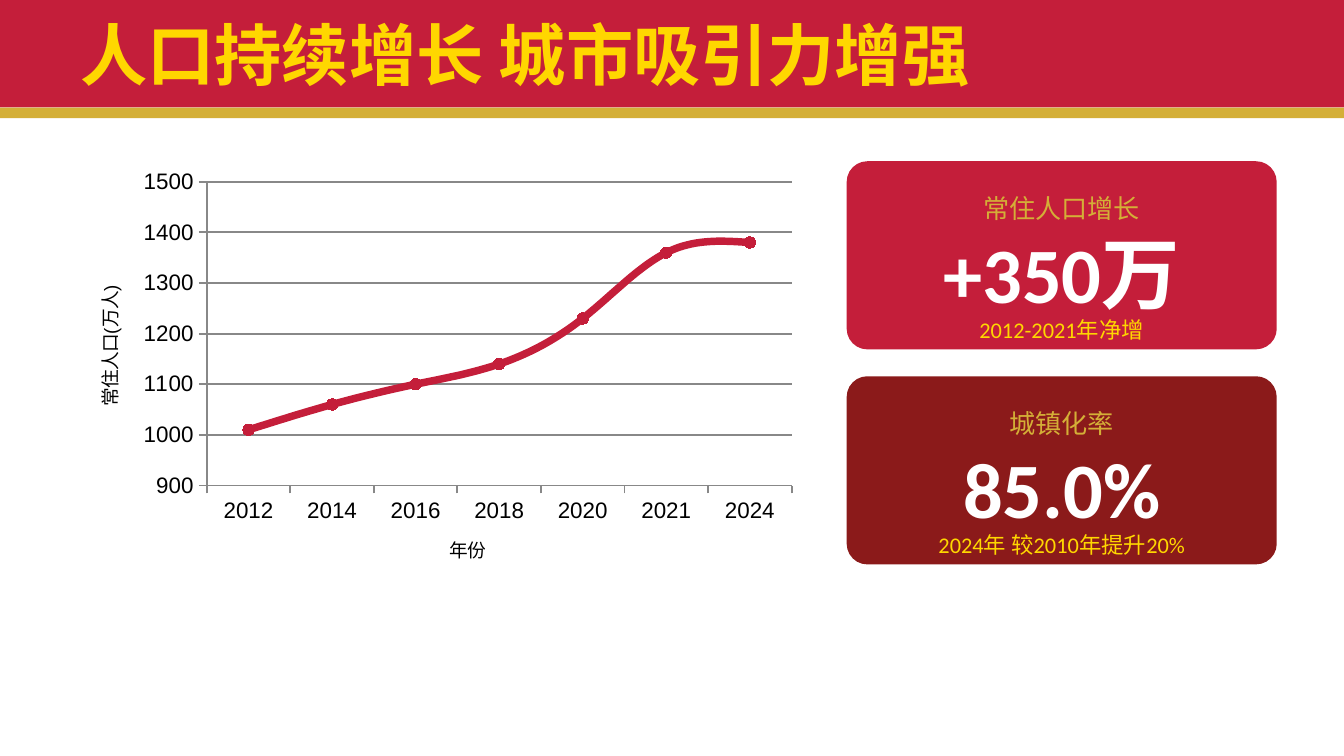
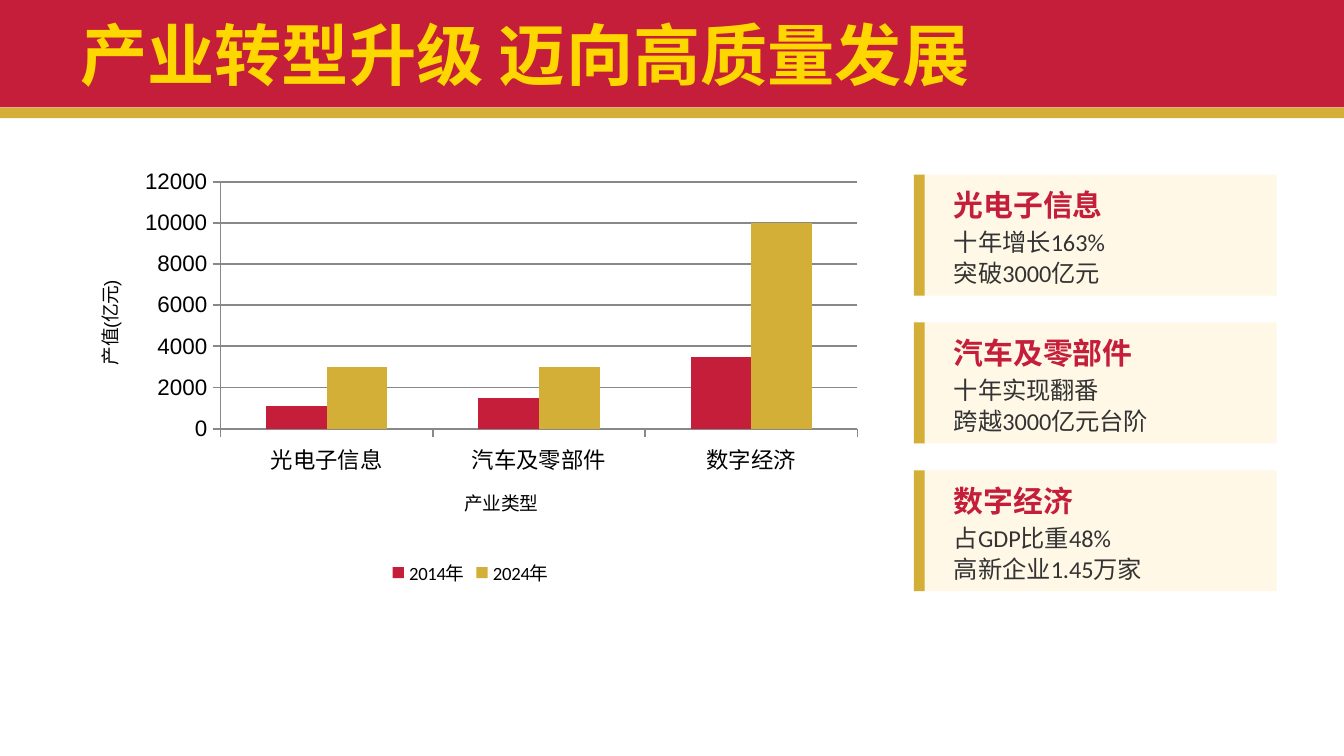
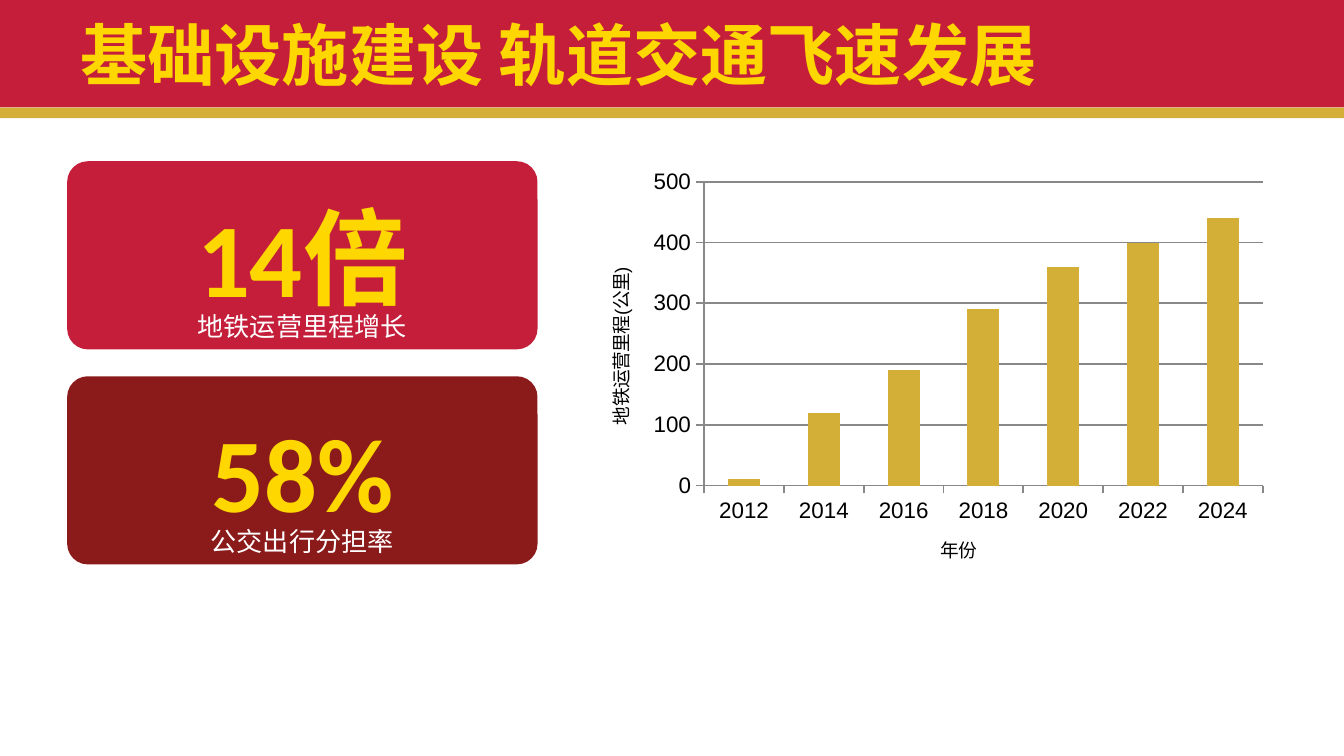
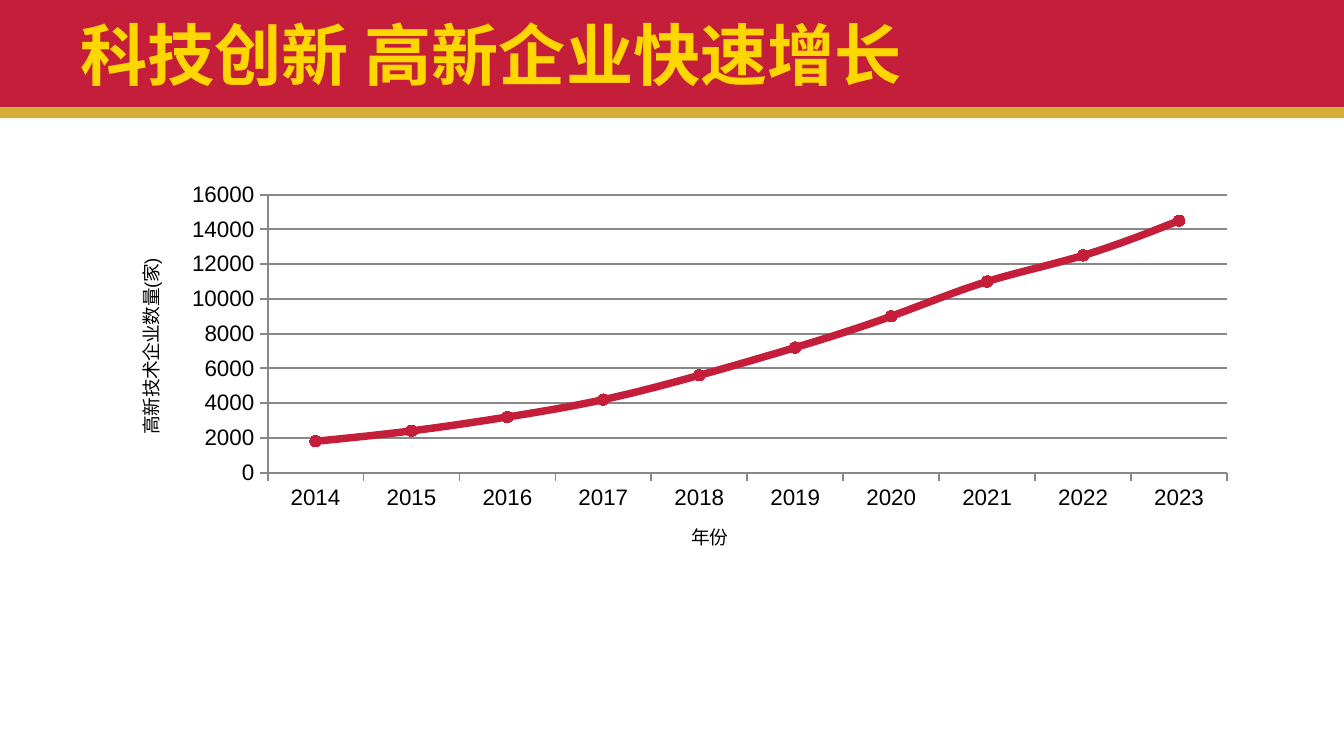
from pptx import Presentation
from pptx.chart.data import CategoryChartData
from pptx.dml.color import RGBColor
from pptx.enum.chart import XL_CHART_TYPE as ChartType
from pptx.enum.chart import XL_LEGEND_POSITION as LegendPosition
from pptx.enum.chart import XL_MARKER_STYLE as MarkerStyle
from pptx.enum.chart import XL_TICK_LABEL_POSITION as TickLabel
from pptx.enum.chart import XL_TICK_MARK as TickMark
from pptx.enum.shapes import MSO_SHAPE as Preset
from pptx.enum.text import MSO_ANCHOR as Anchor
from pptx.enum.text import PP_ALIGN as Align
from pptx.util import Pt

COLORS = {
    name: RGBColor.from_string(code)
    for name, code in {
        "red": "C41E3A",
        "dark_red": "8B1A1A",
        "gold": "D4AF37",
        "yellow": "FFD700",
        "cream": "FFF8E7",
        "white": "FFFFFF",
        "ink": "333333",
        "black": "000000",
        "grey": "888888",
    }.items()
}


def add_panel(page, preset, left, top, width, height, fill):
    panel = page.shapes.add_shape(preset, Pt(left), Pt(top), Pt(width), Pt(height))
    panel.shadow.inherit = False
    panel.fill.solid()
    panel.fill.fore_color.rgb = COLORS[fill]
    panel.line.fill.background()
    return panel


def add_text(page, left, top, width, height, text, size, color, bold=False, align=Align.LEFT):
    box = page.shapes.add_textbox(Pt(left), Pt(top), Pt(width), Pt(height))
    box.text_frame.word_wrap = True
    box.text_frame.vertical_anchor = Anchor.MIDDLE
    para = box.text_frame.paragraphs[0]
    para.alignment = align
    span = para.add_run()
    span.text = text
    span.font.name = "Calibri"
    span.font.size = Pt(size)
    span.font.bold = bold
    span.font.color.rgb = COLORS[color]


deck = Presentation()
deck.slide_width, deck.slide_height = Pt(720), Pt(405)

# Each slide: heading, chart kind and place, axis titles, value scale, categories, series
slides = [
    ("人口持续增长 城市吸引力增强", ChartType.LINE_MARKERS, (36, 86.4, 396, 230.4),
     "年份", "常住人口(万人)", (900, 1500, 100),
     ["2012", "2014", "2016", "2018", "2020", "2021", "2024"],
     [("Series 1", "red", [1010, 1060, 1100, 1140, 1230, 1360, 1380])]),
    ("产业转型升级 迈向高质量发展", ChartType.COLUMN_CLUSTERED, (36, 86.4, 432, 230.4),
     "产业类型", "产值(亿元)", (0, 12000, 2000),
     ["光电子信息", "汽车及零部件", "数字经济"],
     [("2014年", "red", [1100, 1500, 3500]),
      ("2024年", "gold", [3000, 3000, 10000])]),
    ("基础设施建设 轨道交通飞速发展", ChartType.COLUMN_CLUSTERED, (309.6, 86.4, 374.4, 230.4),
     "年份", "地铁运营里程(公里)", (0, 500, 100),
     ["2012", "2014", "2016", "2018", "2020", "2022", "2024"],
     [("Series 1", "gold", [10, 120, 190, 290, 360, 400, 440])]),
    ("科技创新 高新企业快速增长", ChartType.LINE_MARKERS, (57.6, 93.6, 612, 216),
     "年份", "高新技术企业数量(家)", (0, 16000, 2000),
     [str(year) for year in range(2014, 2024)],
     [("Series 1", "red",
       [1800, 2400, 3200, 4200, 5600, 7200, 9000, 11000, 12500, 14500])]),
]

pages = []
for heading, kind, place, category_title, value_title, scale, categories, series_list in slides:
    page = deck.slides.add_slide(deck.slide_layouts[6])
    pages.append(page)
    page.background.fill.solid()
    page.background.fill.fore_color.rgb = COLORS["white"]
    add_panel(page, Preset.RECTANGLE, 0, 0, 720, 57.6, "red")
    add_panel(page, Preset.RECTANGLE, 0, 57.6, 720, 5.76, "gold")
    add_text(page, 36, 10.8, 648, 36, heading, 36, "yellow", bold=True)

    data = CategoryChartData()
    data.categories = categories
    for name, _, values in series_list:
        data.add_series(name, values)
    chart = page.shapes.add_chart(kind, *[Pt(length) for length in place], data).chart
    chart.has_title = False
    chart.font.name = "Calibri"
    chart.font.size = Pt(10)
    chart.font.color.rgb = COLORS["black"]
    chart.has_legend = len(series_list) > 1
    if chart.has_legend:
        chart.legend.position = LegendPosition.BOTTOM
        chart.legend.include_in_layout = False

    for axis, axis_title in ((chart.category_axis, category_title), (chart.value_axis, value_title)):
        span = axis.axis_title.text_frame.paragraphs[0].add_run()
        span.text = axis_title
        span.font.name = "Arial"
        span.font.size = Pt(10)
        span.font.bold = False
        span.font.color.rgb = COLORS["black"]
        axis.major_tick_mark = TickMark.OUTSIDE
        axis.minor_tick_mark = TickMark.NONE
        axis.tick_labels.font.name = "Arial"
        axis.tick_labels.font.size = Pt(12)
        axis.tick_labels.font.color.rgb = COLORS["black"]
        axis.format.line.color.rgb = COLORS["grey"]
        axis.format.line.width = Pt(1)
    chart.category_axis.tick_label_position = TickLabel.LOW
    value_axis = chart.value_axis
    value_axis.minimum_scale, value_axis.maximum_scale, value_axis.major_unit = scale
    value_axis.tick_labels.number_format = "General"
    value_axis.tick_labels.number_format_is_linked = False
    value_axis.major_gridlines.format.line.color.rgb = COLORS["grey"]
    value_axis.major_gridlines.format.line.width = Pt(1)

    plot = chart.plots[0]
    plot.vary_by_categories = False
    if kind == ChartType.COLUMN_CLUSTERED:
        plot.gap_width = 150
        plot.overlap = 0
    for series, (_, color, _) in zip(plot.series, series_list):
        if kind == ChartType.COLUMN_CLUSTERED:
            series.format.fill.solid()
            series.format.fill.fore_color.rgb = COLORS[color]
            continue
        series.smooth = True
        series.format.line.color.rgb = COLORS[color]
        series.format.line.width = Pt(4)
        series.marker.style = MarkerStyle.CIRCLE
        series.marker.size = 6
        series.marker.format.fill.solid()
        series.marker.format.fill.fore_color.rgb = COLORS[color]
        series.marker.format.line.color.rgb = COLORS[color]

population_page, industry_page, transit_page, _ = pages

# Line styles of the key figure cards: offset from card top, height, size, color, bold
population_lines = [
    (14.4, 21.6, 14, "gold", False),
    (39.6, 39.6, 42, "white", True),
    (82.8, 14.4, 12, "yellow", False),
]
transit_lines = [
    (25.2, 50.4, 56, "yellow", True),
    (79.2, 18, 14, "white", False),
]
figure_cards = [
    (population_page, 453.6, 230.4, population_lines,
     [("常住人口增长", "+350万", "2012-2021年净增"),
      ("城镇化率", "85.0%", "2024年 较2010年提升20%")]),
    (transit_page, 36, 252, transit_lines,
     [("14倍", "地铁运营里程增长"), ("58%", "公交出行分担率")]),
]
for page, left, width, line_styles, cards in figure_cards:
    for row, (fill, texts) in enumerate(zip(("red", "dark_red"), cards)):
        top = 86.4 + row * 115.2
        card = add_panel(page, Preset.ROUNDED_RECTANGLE, left, top, width, 100.8, fill)
        card.adjustments[0] = 0.11
        for text, (offset, height, size, color, bold) in zip(texts, line_styles):
            add_text(page, left, top + offset, width, height, text, size, color, bold, Align.CENTER)

industries = [
    ("光电子信息", "十年增长163%", "突破3000亿元"),
    ("汽车及零部件", "十年实现翻番", "跨越3000亿元台阶"),
    ("数字经济", "占GDP比重48%", "高新企业1.45万家"),
]
for row, (industry, growth, milestone) in enumerate(industries):
    top = 93.6 + row * 79.2
    add_panel(industry_page, Preset.RECTANGLE, 489.6, top, 194.4, 64.8, "cream")
    add_panel(industry_page, Preset.RECTANGLE, 489.6, top, 5.76, 64.8, "gold")
    add_text(industry_page, 504, top + 7.2, 165.6, 18, industry, 16, "red", bold=True)
    add_text(industry_page, 504, top + 28.8, 165.6, 14.4, growth, 13, "ink")
    add_text(industry_page, 504, top + 45.36, 165.6, 14.4, milestone, 13, "ink")

deck.save("out.pptx")
